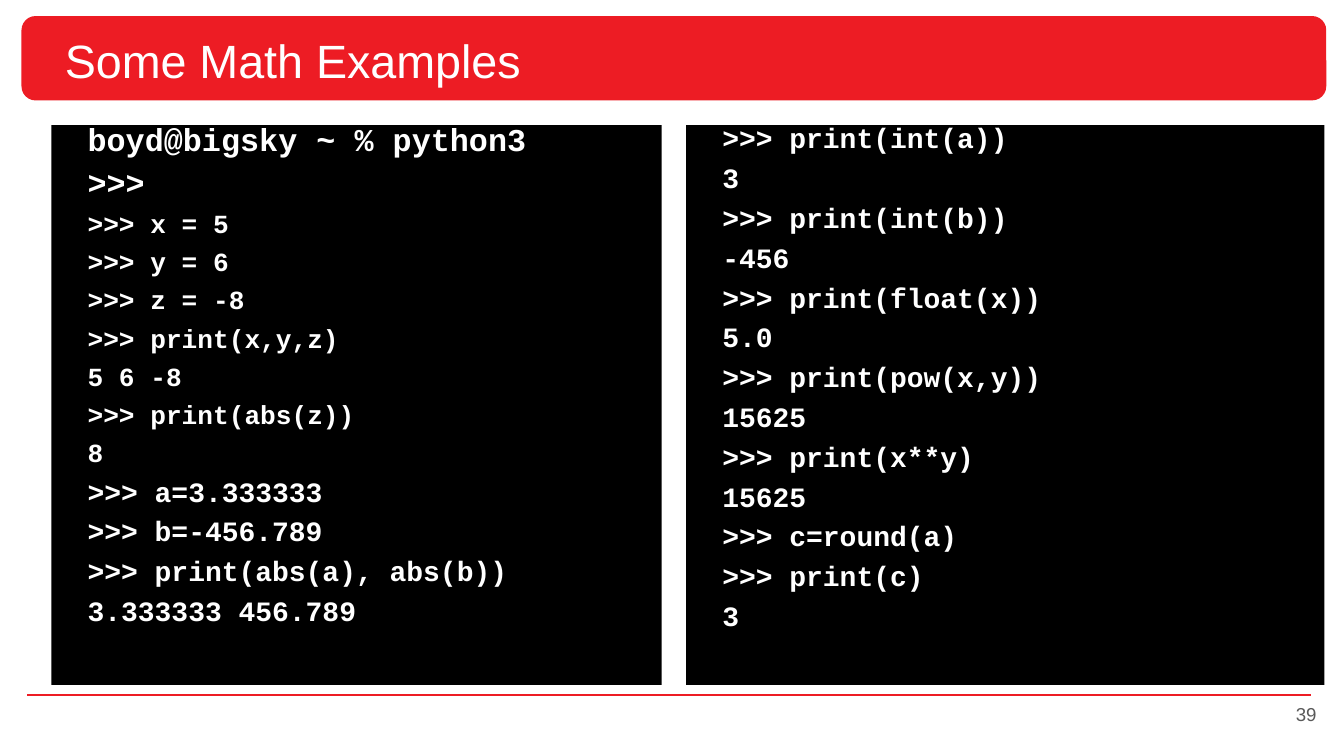
from lxml import etree
from pptx import Presentation
from pptx.dml.color import RGBColor
from pptx.enum.shapes import MSO_CONNECTOR, MSO_SHAPE
from pptx.enum.text import MSO_ANCHOR, MSO_AUTO_SIZE, PP_ALIGN
from pptx.oxml.ns import qn
from pptx.util import Pt

STRAIGHT = MSO_CONNECTOR.STRAIGHT
ROUNDED = MSO_SHAPE.ROUNDED_RECTANGLE
MIDDLE, TOP = MSO_ANCHOR.MIDDLE, MSO_ANCHOR.TOP
NO_AUTOFIT = MSO_AUTO_SIZE.NONE
LEFT, RIGHT = PP_ALIGN.LEFT, PP_ALIGN.RIGHT

COLORS = {"red": "ED1C24", "black": "000000", "white": "FFFFFF", "gray": "595959"}

# Console lines, grouped by font size
SESSIONS = [
    {"box": (27.5, 67, 327, 300), "groups": [
        (17, ["boyd@bigsky ~ % python3", ">>>"]),
        (14, [">>> x = 5", ">>> y = 6", ">>> z = -8", ">>> print(x,y,z)",
              "5 6 -8", ">>> print(abs(z))", "8"]),
        (15, [">>> a=3.333333", ">>> b=-456.789",
              ">>> print(abs(a), abs(b))", "3.333333 456.789"]),
    ]},
    {"box": (367.5, 67, 342, 300), "groups": [
        (15, [">>> print(int(a))", "3", ">>> print(int(b))", "-456",
              ">>> print(float(x))", "5.0", ">>> print(pow(x,y))", "15625",
              ">>> print(x**y)", "15625", ">>> c=round(a)", ">>> print(c)", "3"]),
    ]},
]


def set_frame(shape, box, inset_x, inset_y, anchor):
    shape.left, shape.top, shape.width, shape.height = [Pt(value) for value in box]
    frame_format = {
        "margin_left": Pt(inset_x), "margin_right": Pt(inset_x),
        "margin_top": Pt(inset_y), "margin_bottom": Pt(inset_y),
        "vertical_anchor": anchor, "word_wrap": True, "auto_size": NO_AUTOFIT,
    }
    for name, value in frame_format.items():
        setattr(shape.text_frame, name, value)


def add_text(paragraph, text, color, alignment=LEFT, **font_format):
    paragraph.alignment = alignment
    run = paragraph.add_run()
    run.text = text
    run.font.color.rgb = RGBColor.from_string(COLORS[color])
    for name, value in font_format.items():
        setattr(run.font, name, value)


presentation = Presentation()
presentation.slide_width, presentation.slide_height = Pt(720), Pt(405)
slide = presentation.slides.add_slide(presentation.slide_layouts[3])
title, *bodies = slide.placeholders

# Footer rule and title bar, placed behind the placeholders
rule = slide.shapes.add_connector(STRAIGHT, Pt(14.5), Pt(372.2), Pt(702.5), Pt(372.2))
rule.line.color.rgb = RGBColor.from_string(COLORS["red"])
rule.line.width = Pt(1)
etree.SubElement(rule._element.spPr, qn("a:effectLst"))

bar = slide.shapes.add_shape(ROUNDED, Pt(11.5), Pt(8.6), Pt(699), Pt(45.2))
bar.adjustments[0] = 0.167
bar.shadow.inherit = False
bar.fill.solid()
bar.fill.fore_color.rgb = RGBColor.from_string(COLORS["red"])
bar.line.fill.background()

for shape in (bar, rule):
    title._element.addprevious(shape._element)

# Title
set_frame(title, (27.5, 9.4, 671, 45.2), 7.2, 7.2, MIDDLE)
add_text(title.text_frame.paragraphs[0], "Some Math Examples", "white",
         size=Pt(25), name="Arial")

# Console panels
for body, session in zip(bodies, SESSIONS):
    set_frame(body, session["box"], 5.4, 2.7, TOP)
    body.fill.solid()
    body.fill.fore_color.rgb = RGBColor.from_string(COLORS["black"])
    lines = [(size, text) for size, texts in session["groups"] for text in texts]
    for index, (size, text) in enumerate(lines):
        frame = body.text_frame
        paragraph = frame.add_paragraph() if index else frame.paragraphs[0]
        paragraph.line_spacing = 0.7
        paragraph.space_before = Pt(8.7 if index else 0)
        add_text(paragraph, text, "white", size=Pt(size), name="Courier New", bold=True)
        properties = paragraph._p.get_or_add_pPr()
        properties.set("marL", str(Pt(14)))
        properties.set("indent", "0")
        etree.SubElement(properties, qn("a:buNone"))

# Page number
number = slide.shapes.add_textbox(0, 0, 0, 0)
set_frame(number, (667.5, 367.3, 43.2, 31), 5.4, 2.7, MIDDLE)
add_text(number.text_frame.paragraphs[0], "39", "gray", RIGHT, size=Pt(10), name="Arial")

presentation.save("out.pptx")
